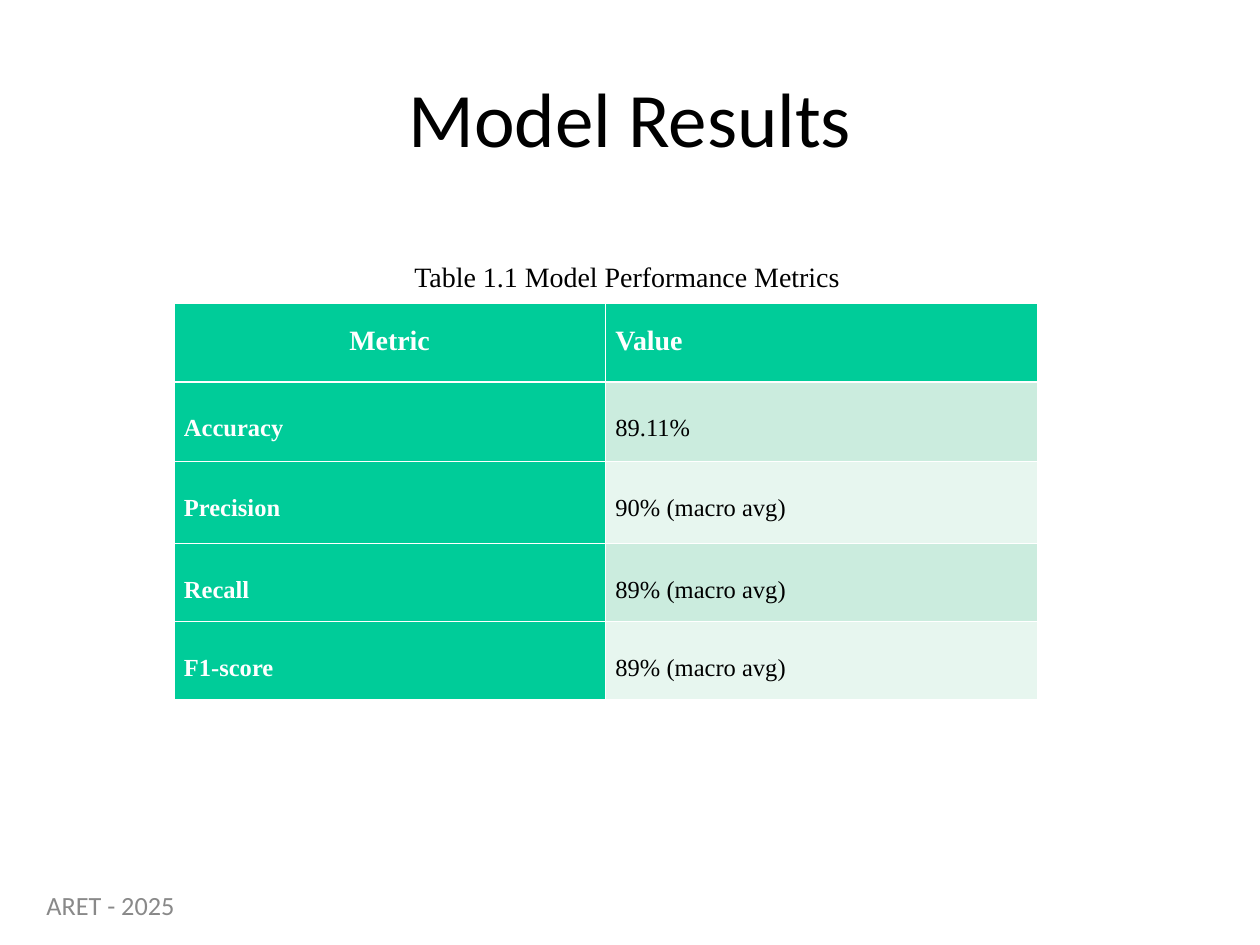
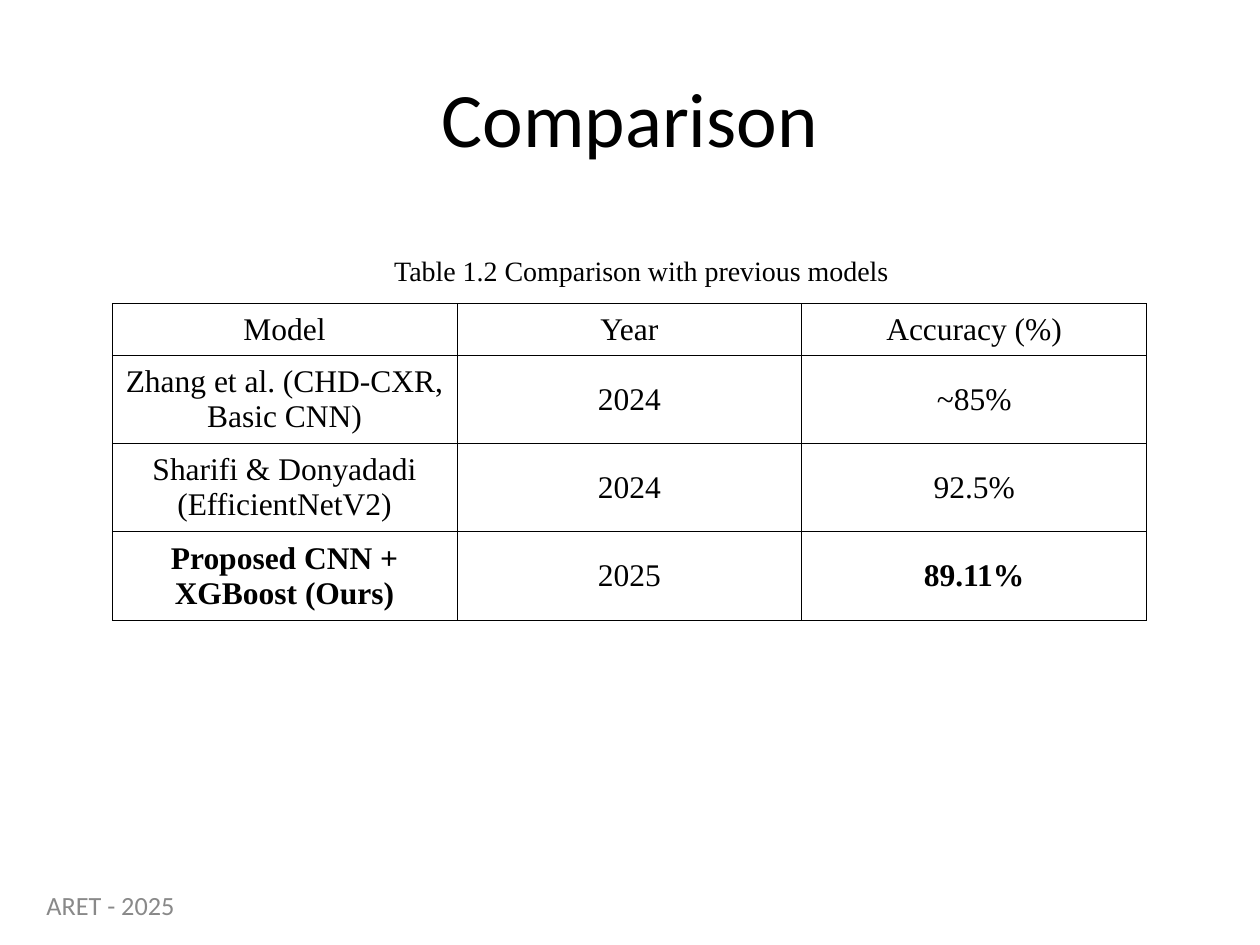
from lxml import etree
from pptx import Presentation
from pptx.dml.color import RGBColor
from pptx.enum.text import MSO_ANCHOR, PP_ALIGN
from pptx.oxml.ns import qn
from pptx.util import Inches, Pt

LEFT, CENTER, JUST = PP_ALIGN.LEFT, PP_ALIGN.CENTER, PP_ALIGN.JUSTIFY
TOP, MIDDLE = MSO_ANCHOR.TOP, MSO_ANCHOR.MIDDLE
TITLE_ONLY = 5
SANS, SERIF = "Calibri", "Times New Roman"
HUES = {
    "black": "000000",
    "white": "FFFFFF",
    "gray": "898989",
    "green": "00CC99",
    "mint": "CBECDE",
    "pale": "E7F6EF",
}
THIN, THICK = 0.45, 1.47

METRICS = [
    ("Metric", "Value"),
    ("Accuracy", "89.11%"),
    ("Precision", "90% (macro avg)"),
    ("Recall", "89% (macro avg)"),
    ("F1-score", "89% (macro avg)"),
]
MODELS = [
    ("Model", "Year", "Accuracy (%)"),
    ("Zhang et al. (CHD-CXR, Basic CNN)", "2024", "~85%"),
    ("Sharifi & Donyadadi (EfficientNetV2)", "2024", "92.5%"),
    ("Proposed CNN + XGBoost (Ours)", "2025", "89.11%"),
]


def write(frame, text, size=16, font=SERIF, hue="black", bold=False,
          align=LEFT, line=None, before=None):
    para = frame.paragraphs[0]
    para.alignment = align
    if line is not None:
        para.line_spacing = line
    if before is not None:
        para.space_before = Pt(before)
    run = para.add_run()
    run.text = text
    run.font.size = Pt(size)
    run.font.name = font
    run.font.bold = bold
    run.font.color.rgb = RGBColor.from_string(HUES[hue])


def add_text(slide, box, text, **style):
    frame = slide.shapes.add_textbox(*map(Inches, box)).text_frame
    frame.word_wrap = True
    write(frame, text, **style)


def add_page(deck, title):
    slide = deck.slides.add_slide(deck.slide_layouts[TITLE_ONLY])
    head = slide.shapes.title
    head.left, head.top, head.width, head.height = map(Inches, (0.5, 0.3, 9, 1.25))
    head.text_frame.vertical_anchor = MIDDLE
    write(head.text_frame, title, size=44, font=SANS, align=CENTER)
    add_text(slide, (0.27, 7.06, 7.24, 0.32), "ARET - 2025", size=15,
             font=SANS, hue="gray", line=0.8, before=3.7)
    return slide


def set_edges(cell, hue, top=THIN, bottom=THIN):
    props = cell._tc.get_or_add_tcPr()
    for side, width in (("L", THIN), ("R", THIN), ("T", top), ("B", bottom)):
        edge = etree.SubElement(props, qn(f"a:ln{side}"), w=str(int(Pt(width))))
        fill = etree.SubElement(edge, qn("a:solidFill"))
        etree.SubElement(fill, qn("a:srgbClr"), val=HUES[hue])


def add_grid(slide, box, data, heights):
    cols = len(data[0])
    grid = slide.shapes.add_table(len(data), cols, *map(Inches, box)).table
    grid.first_row = grid.horz_banding = False
    for col in grid.columns:
        col.width = Inches(box[2] / cols)
    for row, height in zip(grid.rows, heights):
        row.height = Inches(height)
    return grid


def fill_metrics(slide, box):
    grid = add_grid(slide, box, METRICS, (0.62, 0.63, 0.65, 0.62, 0.62))
    for r, row in enumerate(METRICS):
        for c, text in enumerate(row):
            cell = grid.cell(r, c)
            lead = r == 0 or c == 0
            cell.margin_left = cell.margin_right = Inches(0.08)
            cell.vertical_anchor = TOP
            set_edges(cell, "white", top=THICK if r == 1 else THIN,
                      bottom=THICK if r == 0 else THIN)
            shade = "green" if lead else ("pale", "mint")[r % 2]
            cell.fill.solid()
            cell.fill.fore_color.rgb = RGBColor.from_string(HUES[shade])
            write(cell.text_frame, text, size=16 if r == 0 else 14,
                  hue="white" if lead else "black", bold=lead,
                  align=CENTER if r == c == 0 else JUST,
                  line=1.5 if r == 0 else 2.0, before=6)


def fill_models(slide, box):
    grid = add_grid(slide, box, MODELS, (0.41, 0.7, 0.7, 0.7))
    last = len(MODELS) - 1
    for r, row in enumerate(MODELS):
        for c, text in enumerate(row):
            cell = grid.cell(r, c)
            cell.vertical_anchor = MIDDLE
            set_edges(cell, "black")
            cell.fill.background()
            write(cell.text_frame, text, size=18, align=CENTER,
                  bold=r == last and c != 1)


def main():
    deck = Presentation()
    deck.slide_width, deck.slide_height = Inches(10), Inches(7.5)

    slide = add_page(deck, "Model Results")
    fill_metrics(slide, (1.38, 2.41, 6.85, 3.15))
    add_text(slide, (3.19, 2.01, 4.49, 0.37), "Table 1.1 Model Performance Metrics")

    slide = add_page(deck, "Comparison")
    fill_models(slide, (0.89, 2.41, 8.21, 2.52))
    add_text(slide, (3.03, 1.96, 4.49, 0.37), "Table 1.2 Comparison with previous models")

    deck.save("out.pptx")


if __name__ == "__main__":
    main()
